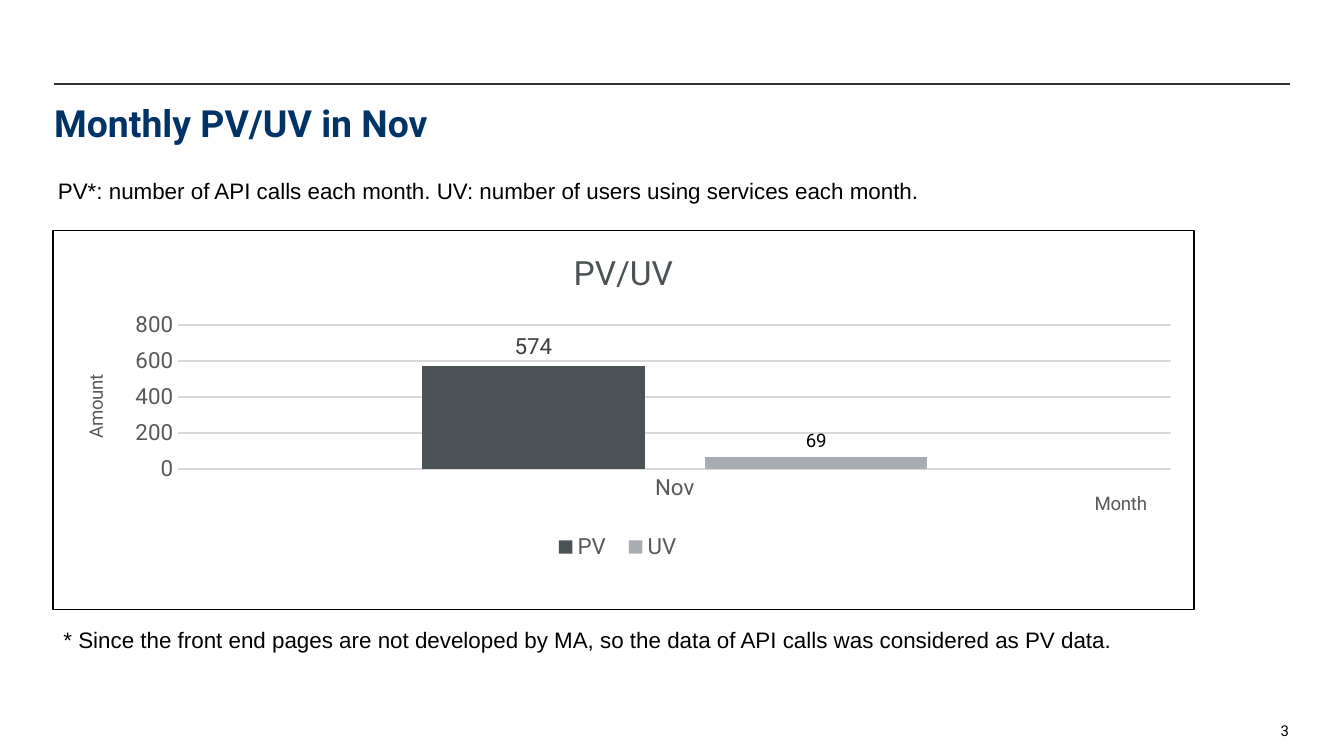
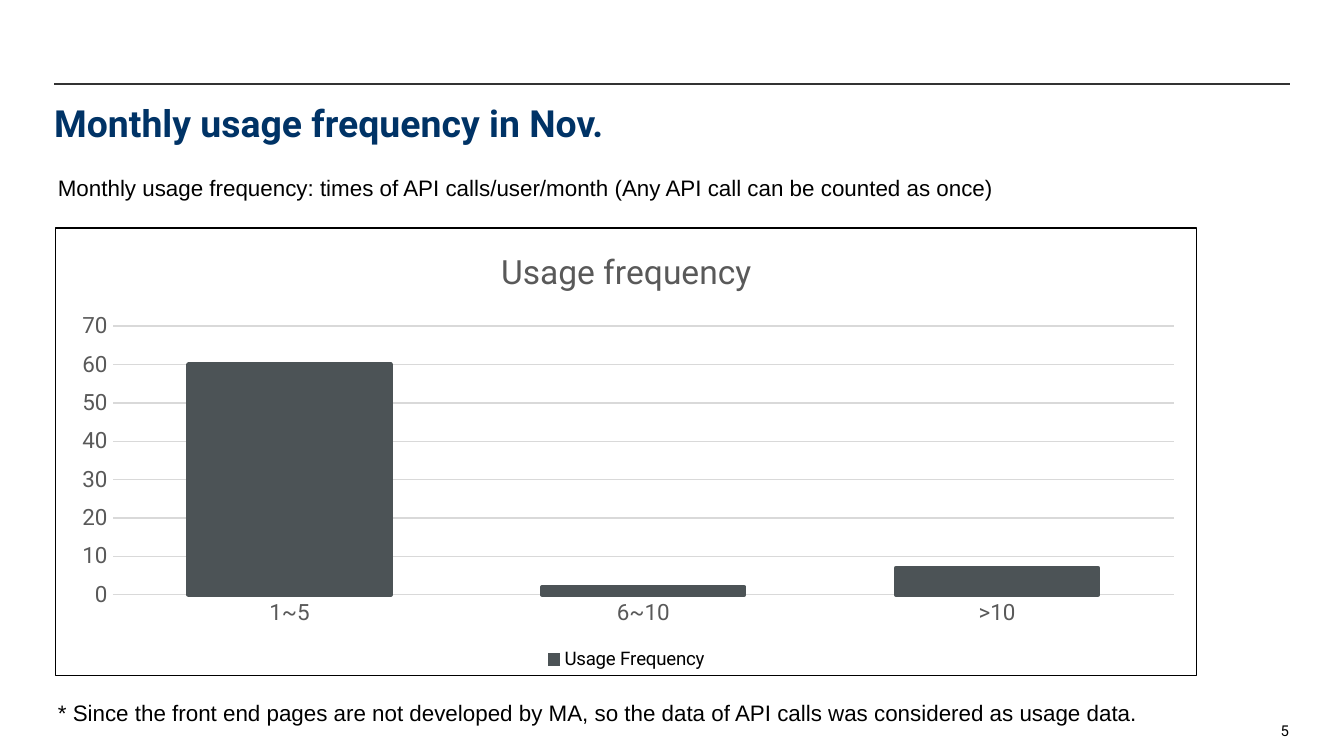
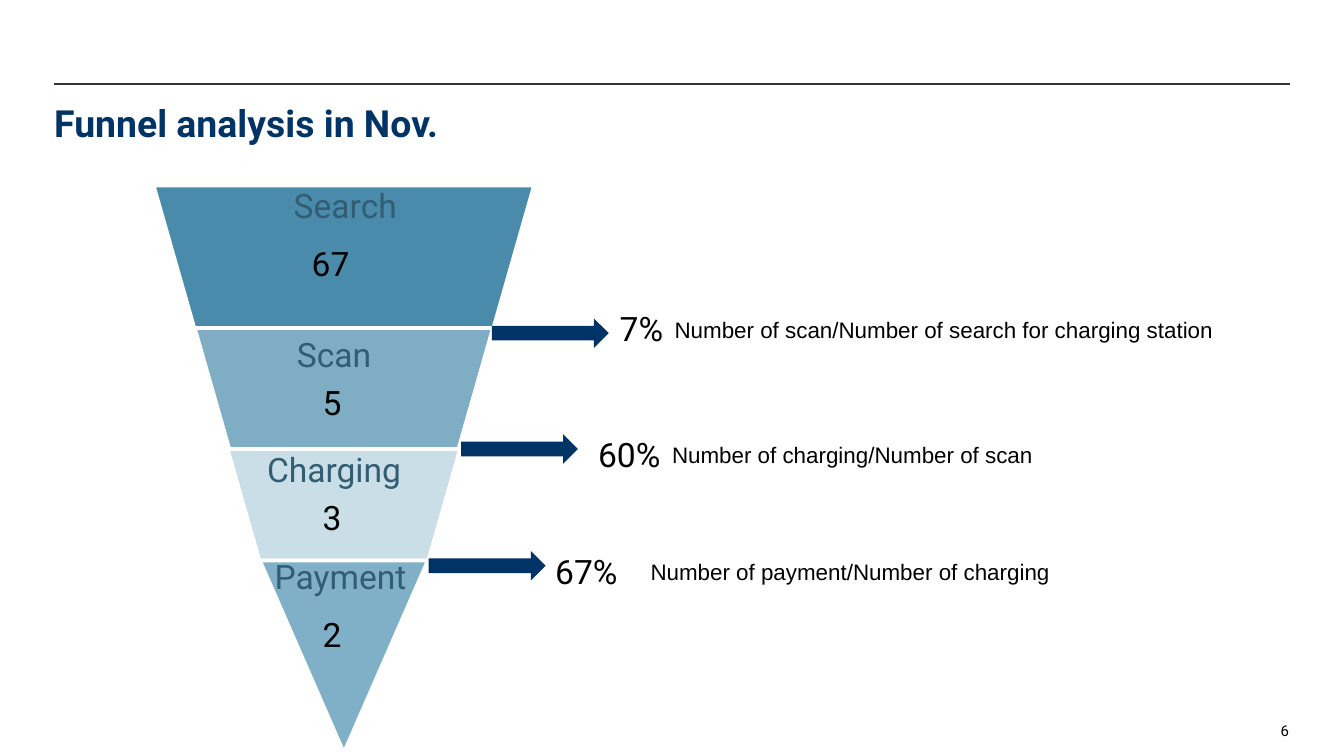
import pptx
import pptx.chart.data
import pptx.dml.color
import pptx.enum.chart
import pptx.enum.shapes
import pptx.enum.text
import pptx.oxml
import pptx.oxml.ns
import pptx.oxml.xmlchemy
import pptx.util

Pt = pptx.util.Pt
qn = pptx.oxml.ns.qn
new_element = pptx.oxml.xmlchemy.OxmlElement
SHAPE = pptx.enum.shapes.MSO_SHAPE
ALIGN = pptx.enum.text.PP_ALIGN

# Shared style
NAVY, RULE, BLACK, WHITE = "003366", "333333", "000000", "FFFFFF"
SLATE, SILVER, GREY, GRID, LABEL = "4C5356", "A8ADB3", "595959", "D9D9D9", "325D72"
HEAD, BODY = "Roboto", "Arial"
NOTE_W = 652

# Content: layouts are (x, y[, w, h]) as fractions of the chart
CHART_SLIDES = [
    dict(title="Monthly PV/UV in Nov", page=3,
         notes=[("PV*: number of API calls each month. UV: number of users using "
                 "services each month.", 31, 95),
                ("* Since the front end pages are not developed by MA, so the data of "
                 "API calls was considered as PV data.", 34, 335.5)],
         box=(28, 123, 612, 204), chart_title="PV/UV", title_color=SLATE,
         cats=["Nov"], series=[("PV", [574], SLATE), ("UV", [69], SILVER)],
         gap=219, overlap=-27, top=800, step=200, bar_line=None,
         labels=[(12, "404040"), (10, BLACK)], legend_font=(12, GREY),
         axis_titles=("Month", "Amount"), month_at=(0.91, 0.68),
         plot_at=(0.11, 0.25, 0.87, 0.38), legend_at=(0.43, 0.8, 0.13, 0.07)),
    dict(title="Monthly usage frequency in Nov.", page=5,
         notes=[("Monthly usage frequency: times of API calls/user/month (Any API call "
                 "can be counted as once)", 31, 93.5),
                ("* Since the front end pages are not developed by MA, so the data of "
                 "API calls was considered as usage data.", 31, 374.5)],
         box=(29.5, 121.7, 612, 240.5), chart_title="Usage frequency", title_color=GREY,
         cats=["1~5", "6~10", ">10"], series=[("Usage Frequency", [60, 2, 7], SLATE)],
         gap=75, overlap=-25, top=70, step=10, bar_line=2.25,
         labels=[], legend_font=(10, BLACK),
         axis_titles=None, month_at=None,
         plot_at=(0.05, 0.22, 0.93, 0.6), legend_at=None),
]

FUNNEL_TITLE, FUNNEL_PAGE = "Funnel analysis in Nov.", 6
FUNNEL_CENTER, FUNNEL_TOP = 184.2, 99.4
# name, label centre, label top, count, count left, count top, width, height, fill, opacity, slant
STAGES = [
    ("Search", 185, 99.4, "67", 167, 130.3, 203.8, 76.3, "4A8BAC", 100, 0.285),
    ("Scan", 179, 179.3, "5", 172.8, 204.5, 159.8, 64.8, "4A8BAC", 70, 0.285),
    ("Charging", 179, 241.2, "3", 172.8, 266.4, 124.6, 59.8, "B3D0DE", 70, 0.285),
    ("Payment", 182.5, 298.1, "2", 172.8, 329, 90, 103, "80B0C8", 100, 0.5),
]
# arrow left and top, rate with left and top, note with left and top
RATES = [
    (263.5, 170.6, "7%", 332, 165,
     "Number of scan/Number of search for charging station", 361.4, 169.2),
    (247, 232.6, "60%", 320.4, 232.6, "Number of charging/Number of scan", 360, 236.5),
    (229.7, 295.2, "67%", 297.4, 295.2, "Number of payment/Number of charging", 348.5, 299),
]


# Helpers
def rgb(code):
    return pptx.dml.color.RGBColor.from_string(code)


def set_font(font, size, color, name=HEAD, bold=False):
    font.size, font.name, font.bold = Pt(size), name, bold
    font.color.rgb = rgb(color)


def set_line(line, color, width):
    line.color.rgb = rgb(color)
    line.width = Pt(width)


def write(sp, text, size, color, name=HEAD, bold=False, align=ALIGN.LEFT, inset=0):
    tf = sp.text_frame
    tf.word_wrap = True
    tf.auto_size = pptx.enum.text.MSO_AUTO_SIZE.NONE
    tf.vertical_anchor = pptx.enum.text.MSO_ANCHOR.TOP
    tf.margin_left = tf.margin_top = tf.margin_right = tf.margin_bottom = Pt(inset)
    p = tf.paragraphs[0]
    p.alignment = align
    r = p.add_run()
    r.text = text
    set_font(r.font, size, color, name, bold)
    return p


def add_text(slide, box, *args, **style):
    return write(slide.shapes.add_textbox(*map(Pt, box)), *args, **style)


def add_shape(slide, kind, box, fill):
    sp = slide.shapes.add_shape(kind, *map(Pt, box))
    sp.shadow.inherit = False
    sp.fill.solid()
    sp.fill.fore_color.rgb = rgb(fill)
    sp.line.fill.background()
    return sp


def add_slide(prs, title, page):
    slide = prs.slides.add_slide(prs.slide_layouts[5])
    rule = slide.shapes.add_connector(
        pptx.enum.shapes.MSO_CONNECTOR.STRAIGHT, Pt(29), Pt(45), Pt(691), Pt(45))
    set_line(rule.line, RULE, 0.75)
    rule._element.spPr.append(new_element("a:effectLst"))
    sp = slide.shapes.title
    sp.left, sp.top, sp.width, sp.height = Pt(29), Pt(53.5), Pt(662), Pt(40)
    write(sp, title, 20, NAVY, bold=True)
    add_text(slide, (637, 386.5, 53.5, 11), str(page), 8, BLACK, align=ALIGN.RIGHT)
    return slide


# Charts
def place(element, fractions, inner=False):
    """Give a chart part a fixed place within its chart."""
    for old in element.findall(qn("c:layout")):
        element.remove(old)
    layout = new_element("c:layout")
    manual = new_element("c:manualLayout")
    layout.append(manual)
    items = [("layoutTarget", "inner")] if inner else []
    items += [("xMode", "edge"), ("yMode", "edge")] + list(zip("xywh", fractions))
    for tag, val in items:
        child = new_element("c:" + tag)
        child.set("val", str(val))
        manual.append(child)
    overlay = element.find(qn("c:overlay"))
    if overlay is None:
        element.insert(0, layout)
    else:
        overlay.addprevious(layout)


def add_border(chart):
    chart._chartSpace.find(qn("c:chart")).addnext(pptx.oxml.parse_xml(
        f'<c:spPr {pptx.oxml.ns.nsdecls("c", "a")}><a:noFill/><a:ln w="9525"><a:solidFill>'
        f'<a:srgbClr val="{BLACK}"/></a:solidFill></a:ln></c:spPr>'))


def title_text(title, text, size, color):
    r = title.text_frame.paragraphs[0].add_run()
    r.text = text
    set_font(r.font, size, color)


def add_column_chart(slide, d):
    data = pptx.chart.data.CategoryChartData()
    data.categories = d["cats"]
    for name, values, _ in d["series"]:
        data.add_series(name, values)
    kinds = pptx.enum.chart
    chart = slide.shapes.add_chart(
        kinds.XL_CHART_TYPE.COLUMN_CLUSTERED, *map(Pt, d["box"]), data).chart
    set_font(chart.font, 10, BLACK)
    add_border(chart)
    chart.has_title = True
    title_text(chart.chart_title, d["chart_title"], 18, d["title_color"])

    # Legend and plot area
    chart.has_legend = True
    chart.legend.position = kinds.XL_LEGEND_POSITION.BOTTOM
    chart.legend.include_in_layout = False
    set_font(chart.legend.font, *d["legend_font"])
    if d["legend_at"]:
        place(chart.legend._element, d["legend_at"])
    place(chart._chartSpace.find(".//" + qn("c:plotArea")), d["plot_at"], inner=True)

    # Axes
    cat, val = chart.category_axis, chart.value_axis
    for axis in (cat, val):
        axis.major_tick_mark = axis.minor_tick_mark = kinds.XL_TICK_MARK.NONE
        set_font(axis.tick_labels.font, 12, GREY)
    set_line(cat.format.line, GRID, 0.75)
    val.format.line.fill.background()
    set_line(val.major_gridlines.format.line, GRID, 0.75)
    val.minimum_scale, val.maximum_scale, val.major_unit = 0, d["top"], d["step"]
    if d["axis_titles"]:
        for axis, text in zip((cat, val), d["axis_titles"]):
            title_text(axis.axis_title, text, 10, GREY)
        place(cat.axis_title._element, d["month_at"])

    # Columns
    plot = chart.plots[0]
    plot.vary_by_categories = False
    plot.gap_width, plot.overlap = d["gap"], d["overlap"]
    for s, (_, _, color) in zip(plot.series, d["series"]):
        s.invert_if_negative = False
        s.format.fill.solid()
        s.format.fill.fore_color.rgb = rgb(color)
        if d["bar_line"]:
            set_line(s.format.line, color, d["bar_line"])
    for s, style in zip(plot.series, d["labels"]):
        s.data_labels.show_value = True
        s.data_labels.position = kinds.XL_LABEL_POSITION.OUTSIDE_END
        set_font(s.data_labels.font, *style)


def add_funnel(slide):
    # Stages, stacked from the top
    top = FUNNEL_TOP
    for *_, w, h, fill, opacity, slant in STAGES:
        sp = add_shape(slide, SHAPE.TRAPEZOID, (FUNNEL_CENTER - w / 2, top, w, h), fill)
        sp.rotation = 180
        sp.adjustments[0] = slant
        set_line(sp.line, WHITE, 2)
        if opacity < 100:
            alpha = new_element("a:alpha")
            alpha.set("val", str(opacity * 1000))
            sp._element.spPr.find(qn("a:solidFill"))[0].append(alpha)
        top += h
    # Names and counts
    for name, center, label_top, count, left, count_top, *_ in STAGES:
        p = add_text(slide, (center - 50, label_top, 100, 58), name, 18, LABEL,
                     align=ALIGN.CENTER, inset=2)
        p.line_spacing = 0.9
        add_text(slide, (left, count_top, 39.6, 27.4), count, 18, BLACK)
    # Conversion rates
    for x, y, rate, rate_x, rate_y, note, note_x, note_y in RATES:
        add_shape(slide, SHAPE.RIGHT_ARROW, (x, y, 62.6, 15.8), NAVY)
        add_text(slide, (rate_x, rate_y, 39.6, 27.4), rate, 18, BLACK)
        add_text(slide, (note_x, note_y, 317.5, 22), note, 12, BLACK, BODY)


def main():
    prs = pptx.Presentation()
    prs.slide_width, prs.slide_height = Pt(720), Pt(405)
    for d in CHART_SLIDES:
        slide = add_slide(prs, d["title"], d["page"])
        add_column_chart(slide, d)
        for text, x, y in d["notes"]:
            add_text(slide, (x, y, NOTE_W, 14.4), text, 12, BLACK, BODY)
    add_funnel(add_slide(prs, FUNNEL_TITLE, FUNNEL_PAGE))
    prs.save("out.pptx")


if __name__ == "__main__":
    main()
